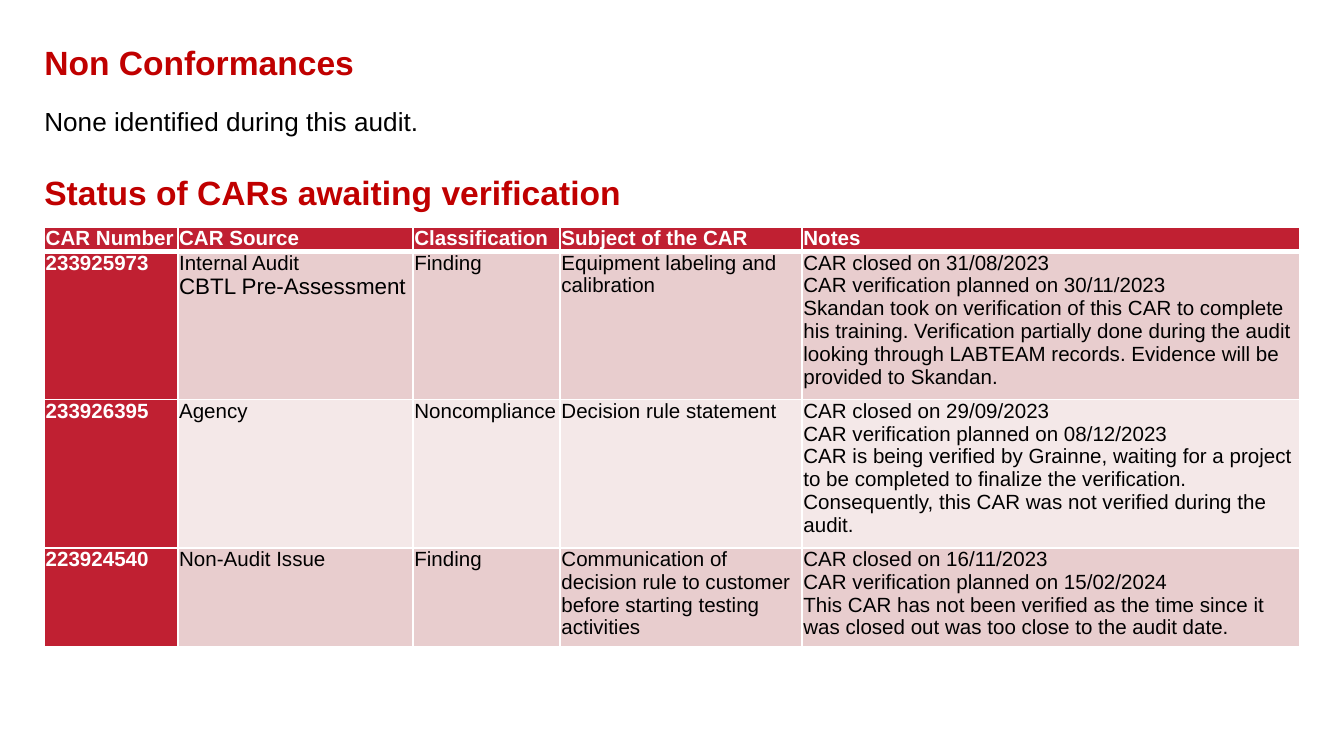
"""Build the slide on non conformances and CARs awaiting verification."""
import pptx
import pptx.dml.color
import pptx.enum.text
import pptx.oxml
import pptx.oxml.ns
import pptx.util

COLORS = {"heading": "C00000", "header": "C02032", "odd": "E8CDCE",
          "even": "F4E8E8", "text": "000000", "white": "FFFFFF"}

deck = pptx.Presentation()
deck.slide_width = pptx.util.Inches(10)
deck.slide_height = deck.slide_width * 9 // 16
column = deck.slide_width / 100
row = deck.slide_height / 100
margin = int(3.3 * column)
slide = deck.slides.add_slide(deck.slide_layouts[6])


def set_font(paragraph, size, color, bold):
    font = paragraph.font
    font.name, font.size, font.bold = "Arial", pptx.util.Pt(size), bold
    font.color.rgb = pptx.dml.color.RGBColor.from_string(COLORS[color])


def add_border(cell, side, width):
    line = pptx.oxml.parse_xml(
        f'<a:{side} {pptx.oxml.ns.nsdecls("a")} w="{pptx.util.Pt(width)}"><a:solidFill>'
        f'<a:srgbClr val="{COLORS["white"]}"/></a:solidFill></a:{side}>')
    cell._tc.get_or_add_tcPr().append(line)


for top, height, wording, size, color, bold in [
    (5.5, 5.3, "Non Conformances", 18, "heading", True),
    (13.9, 10.3, "None identified during this audit.", 14, "text", False),
    (22.8, 5.3, "Status of CARs awaiting verification", 18, "heading", True),
]:
    frame = slide.shapes.add_textbox(
        margin, int(top * row), int(93.4 * column), int(height * row)).text_frame
    frame.word_wrap = True
    frame.margin_left = frame.margin_top = frame.margin_right = frame.margin_bottom = 0
    frame.text = wording
    set_font(frame.paragraphs[0], size, color, bold)

cars = [
    ["CAR Number", "CAR Source", "Classification", "Subject of the CAR", "Notes"],
    ["233925973", "Internal Audit\nCBTL Pre-Assessment", "Finding",
     "Equipment labeling and calibration",
     "CAR closed on 31/08/2023\nCAR verification planned on 30/11/2023\n"
     "Skandan took on verification of this CAR to complete his training. "
     "Verification partially done during the audit looking through LABTEAM records. "
     "Evidence will be provided to Skandan."],
    ["233926395", "Agency", "Noncompliance", "Decision rule statement",
     "CAR closed on 29/09/2023\nCAR verification planned on 08/12/2023\n"
     "CAR is being verified by Grainne, waiting for a project to be completed to "
     "finalize the verification. Consequently, this CAR was not verified during the audit."],
    ["223924540", "Non-Audit Issue", "Finding",
     "Communication of decision rule to customer before starting testing activities",
     "CAR closed on 16/11/2023\nCAR verification planned on 15/02/2024\n"
     "This CAR has not been verified as the time since it was closed out was too "
     "close to the audit date."],
]
widths = [9.93, 17.5, 10.95, 18, 37.05]
heights = [3.2, 19.6, 19.6, 13]
car_table = slide.shapes.add_table(
    len(heights), len(widths), margin, int(30 * row),
    int(sum(widths) * column), int(sum(heights) * row)).table
for table_column, width in zip(car_table.columns, widths):
    table_column.width = int(width * column)
for table_row, height in zip(car_table.rows, heights):
    table_row.height = int(height * row)

for r, car in enumerate(cars):
    for c, wording in enumerate(car):
        cell = car_table.cell(r, c)
        cell.margin_left = cell.margin_top = cell.margin_right = cell.margin_bottom = 0
        emphasised = r == 0 or c == 0
        for side, width in [("lnL", 1), ("lnR", 1), ("lnT", 3 if r == 1 else 1),
                            ("lnB", 3 if r == 0 else 1)]:
            add_border(cell, side, width)
        cell.fill.solid()
        band = "header" if emphasised else "odd" if r % 2 else "even"
        cell.fill.fore_color.rgb = pptx.dml.color.RGBColor.from_string(COLORS[band])
        cell.text = wording
        for paragraph in cell.text_frame.paragraphs:
            paragraph._p.get_or_add_pPr().set("marL", str(int(column / 10)))
            if r == 0:
                paragraph.alignment = pptx.enum.text.PP_ALIGN.JUSTIFY
            size = 12 if paragraph.text == "CBTL Pre-Assessment" else 11
            set_font(paragraph, size, "white" if emphasised else "text", emphasised)

deck.save("out.pptx")
